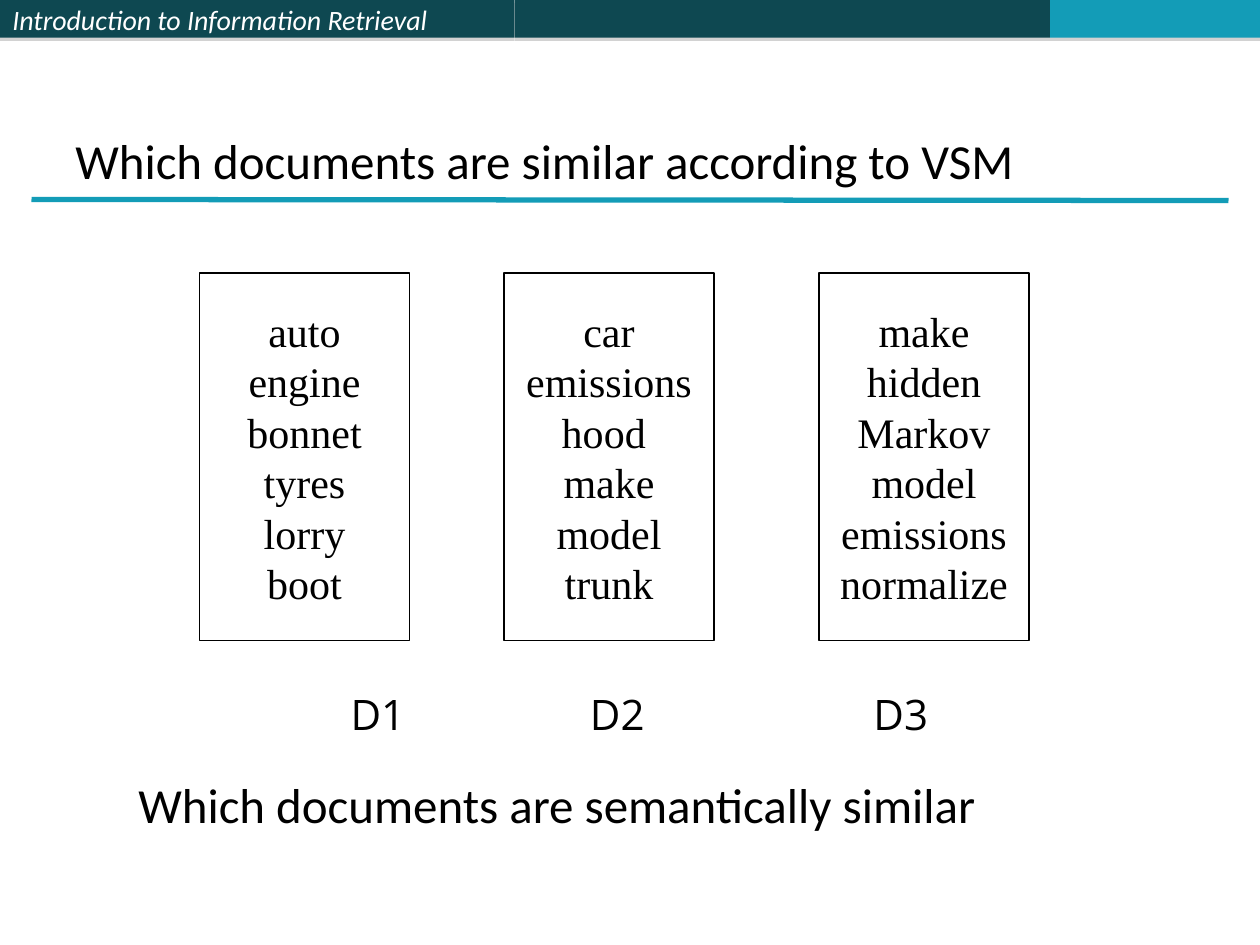
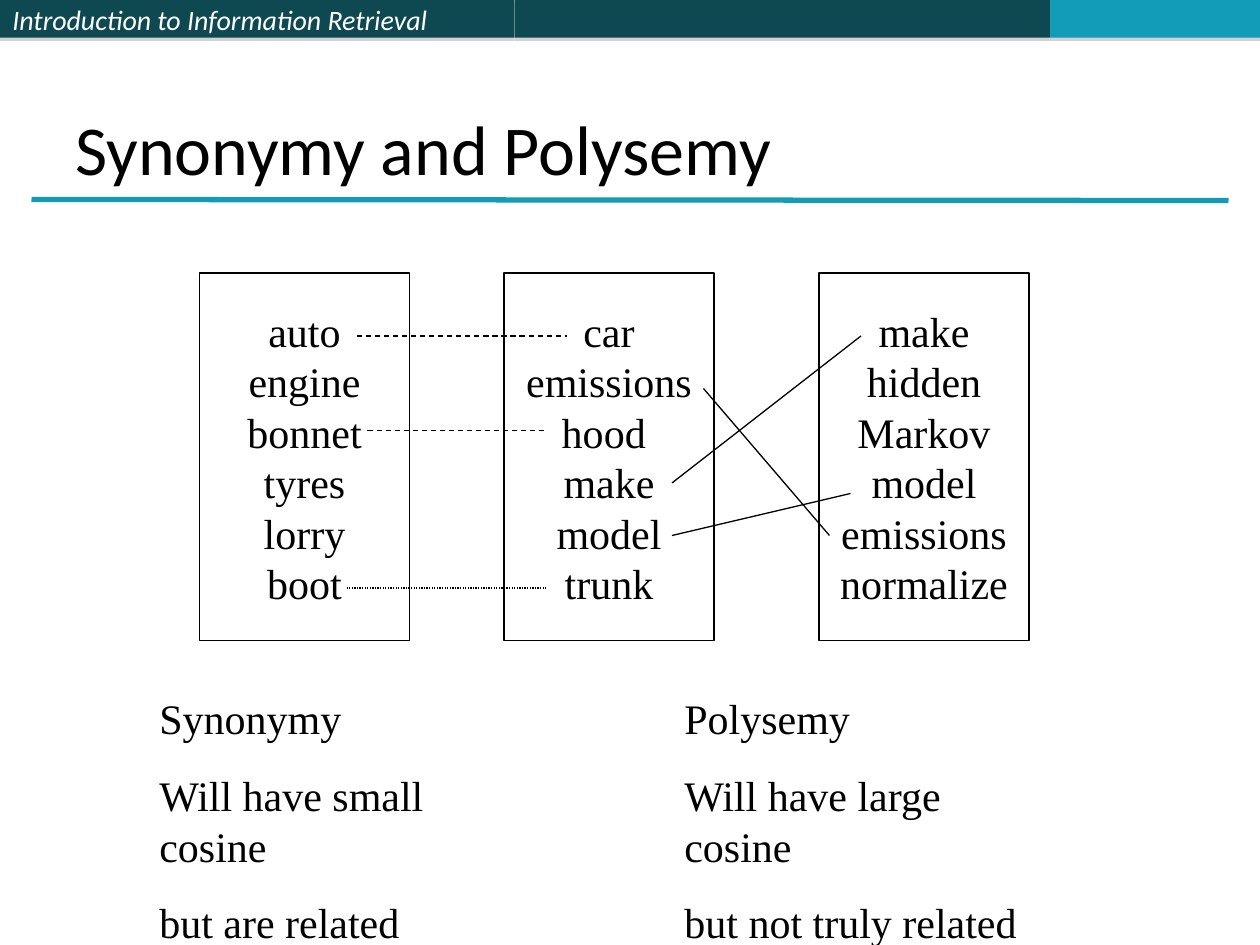
from dataclasses import dataclass

from lxml import etree
from pptx import Presentation
from pptx import util as u
from pptx.dml.color import RGBColor
from pptx.enum import dml, shapes, text
from pptx.oxml import parse_xml
from pptx.oxml.ns import nsdecls, qn


@dataclass(frozen=True)
class Theme:
    dark: str = "0E4851"
    accent: str = "139CB7"
    ink: str = "000000"
    paper: str = "FFFFFF"
    sans: str = "Calibri"
    label_font: str = "Open Sans"
    serif: str = "Times New Roman"
    running_head: int = 16
    question: int = 28
    heading: int = 40
    body: int = 24


THEME = Theme()
COLUMNS, ROWS = 120, 90
CELL = u.Inches(10) // COLUMNS

BAND_HEIGHT = 3.6
COURSE = "Introduction to Information Retrieval"
BANDS = [(0, 49, THEME.dark, [COURSE]), (49, 100, THEME.dark, []),
         (100, COLUMNS, THEME.accent, [])]
SHADOW = (f'<a:effectLst {nsdecls("a")}><a:outerShdw dist="{u.Pt(1.8)}" dir="5400000">'
          '<a:srgbClr val="808080"><a:alpha val="35000"/></a:srgbClr>'
          '</a:outerShdw></a:effectLst>')

DOCUMENTS = [
    (19, ["auto", "engine", "bonnet", "tyres", "lorry", "boot"]),
    (48, ["car", "emissions", "hood ", "make", "model", "trunk"]),
    (78, ["make", "hidden", "Markov", "model", "emissions", "normalize"]),
]
DASH, DOT = dml.MSO_LINE.DASH, dml.MSO_LINE.ROUND_DOT
WORD_LINKS = [
    ((34, 32), (54, 32), DASH),
    ((35, 41), (52, 41), DASH),
    ((33, 56), (52, 56), DOT),
    ((82, 32), (64, 46), None),
    ((81, 47), (64, 51), None),
    ((79, 51), (67, 37), None),
]
CONCLUSIONS = [
    (14, 30, ["Synonymy", "Will have small cosine", "but are related"]),
    (64, 35, ["Polysemy", "Will have large cosine", "but not truly related"]),
]


def add_block(slide, at, lines, size, font, color=THEME.ink, fill=None, italic=False,
              anchor=text.MSO_ANCHOR.TOP, align=text.PP_ALIGN.LEFT, gap=0, margin=0.05):
    """Place a text block, given in grid cells; with a fill it is a rectangle."""
    box = [round(cells * CELL) for cells in at]
    if fill:
        block = slide.shapes.add_shape(shapes.MSO_SHAPE.RECTANGLE, *box)
        block.shadow.inherit = False
        block.fill.solid()
        block.fill.fore_color.rgb = RGBColor.from_string(fill)
        block.line.fill.background()
    else:
        block = slide.shapes.add_textbox(*box)
    frame = block.text_frame
    frame.word_wrap = True
    frame.vertical_anchor = anchor
    frame.margin_top = frame.margin_bottom = u.Inches(margin)
    for index, line in enumerate(lines):
        paragraph = frame.add_paragraph() if index else frame.paragraphs[0]
        paragraph.alignment = align
        if index and gap:
            paragraph.space_before = u.Pt(gap)
        run = paragraph.add_run()
        run.text = line
        run.font.size = u.Pt(size)
        run.font.name = font
        run.font.italic = italic
        run.font.color.rgb = RGBColor.from_string(color)
    return block


def add_rule(slide, start, end, color, width, dash=None):
    ends = [round(cells * CELL) for cells in (*start, *end)]
    rule = slide.shapes.add_connector(shapes.MSO_CONNECTOR.STRAIGHT, *ends)
    rule.line.color.rgb = RGBColor.from_string(color)
    rule.line.width = u.Pt(width)
    if dash:
        rule.line.dash_style = dash
    etree.SubElement(rule._element.spPr, qn("a:effectLst"))


deck = Presentation()
deck.slide_width, deck.slide_height = COLUMNS * CELL, ROWS * CELL
blank = deck.slide_layouts[6]

# Both slides: bands, title, rule and the three documents
slides = []
for title, title_size in [
    ("Which documents are similar according to VSM", THEME.question),
    ("Synonymy and Polysemy", THEME.heading),
]:
    slide = deck.slides.add_slide(blank)
    slides.append(slide)
    for left, right, color, lines in BANDS:
        band = add_block(slide, (left, 0, right - left, BAND_HEIGHT), lines,
                         THEME.running_head, THEME.sans, THEME.paper, fill=color,
                         italic=True, anchor=text.MSO_ANCHOR.MIDDLE)
        properties = band._element.spPr
        properties.replace(properties.find(qn("a:effectLst")), parse_xml(SHADOW))
    add_rule(slide, (3, 19), (117, 19.1), THEME.accent, 3)
    add_block(slide, (6, BAND_HEIGHT, 108, 15), [title], title_size, THEME.sans,
              anchor=text.MSO_ANCHOR.BOTTOM)
    for left, words in DOCUMENTS:
        document = add_block(slide, (left, 26, 20, 35), words, THEME.body, THEME.serif,
                             fill=THEME.paper, anchor=text.MSO_ANCHOR.MIDDLE,
                             align=text.PP_ALIGN.CENTER)
        document.text_frame.word_wrap = False
        document.line.color.rgb = RGBColor.from_string(THEME.ink)
        document.line.width = u.Pt(0.75)

similarity, relations = slides

# Similarity: document labels on tab stops, then the second question
labels = add_block(similarity, (32.2, 65, 57.5, 6), ["D1\tD2\tD3"], THEME.body,
                   THEME.label_font)
stops = etree.SubElement(labels.text_frame.paragraphs[0]._p.get_or_add_pPr(), qn("a:tabLst"))
for offset in (1.9, 4.15):
    etree.SubElement(stops, qn("a:tab"), pos=str(u.Inches(offset)), algn="l")
add_block(similarity, (12, 65, 108, 15), ["Which documents are semantically similar"],
          THEME.question, THEME.sans, anchor=text.MSO_ANCHOR.BOTTOM)

# Relations: links between words, then what they mean for the cosine
for start, end, dash in WORD_LINKS:
    add_rule(relations, start, end, THEME.ink, 0.75, dash)
for left, width, lines in CONCLUSIONS:
    add_block(relations, (left, 66, width, 24), lines, THEME.body, THEME.serif,
              gap=15, margin=0)

deck.save("out.pptx")
